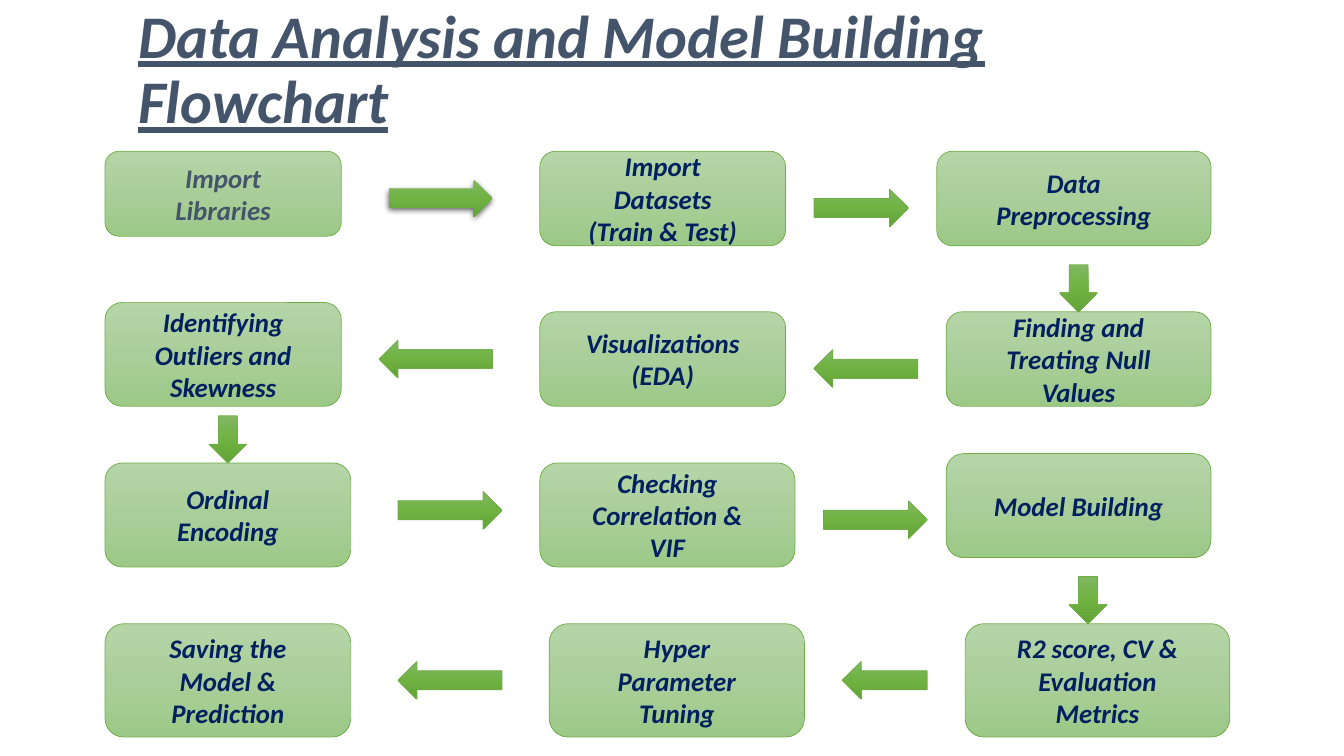
from copy import deepcopy

from pptx import Presentation
from pptx.dml.color import RGBColor
from pptx.enum.shapes import MSO_SHAPE as SHAPE
from pptx.enum.text import MSO_ANCHOR, MSO_AUTO_SIZE, PP_ALIGN
from pptx.oxml import parse_xml
from pptx.oxml.ns import nsdecls, qn
from pptx.util import Inches, Pt

# Content: places are column, row, columns wide, rows high on a fine grid
TITLE = "Data Analysis and Model Building Flowchart"
STEPS = [
    ("Import\nLibraries", 11, 16, 25, 9),
    ("Import\nDatasets\n(Train & Test)", 57, 16, 26, 10),
    ("Data\nPreprocessing", 99, 16, 29, 10),
    ("Finding and\nTreating Null\nValues", 100, 33, 28, 10),
    ("Visualizations\n(EDA)", 57, 33, 26, 10),
    ("Identifying\nOutliers and\nSkewness", 11, 32, 25, 11),
    ("Ordinal\nEncoding", 11, 49, 26, 11),
    ("Checking\nCorrelation &\nVIF", 57, 49, 27, 11),
    ("Model Building", 100, 48, 28, 11),
    ("R2 score, CV &\nEvaluation\nMetrics", 102, 66, 28, 12),
    ("Hyper\nParameter\nTuning", 58, 66, 27, 12),
    ("Saving the\nModel &\nPrediction", 11, 66, 26, 12),
]
# Arrows in flow order: direction, column, row, length
ARROWS = [
    ("right", 41, 19, 11), ("right", 86, 20, 10), ("down", 112, 28, 5),
    ("left", 86, 37, 11), ("left", 40, 36, 12), ("down", 22, 44, 5),
    ("right", 42, 52, 11), ("right", 87, 53, 11), ("down", 113, 61, 5),
    ("left", 89, 70, 9), ("left", 42, 70, 11),
]
ARROW_SHAPES = {"right": SHAPE.RIGHT_ARROW, "left": SHAPE.LEFT_ARROW,
                "down": SHAPE.DOWN_ARROW}
COLORS = {"slate": "44546A", "navy": "002060", "green": "70AD47"}
GRADIENTS = {"step": ("B5D5A7", "AACE9A", "9CC987"),
             "arrow": ("81B861", "6FB242", "62A336")}
FONT = "Calibri"
UNIT = 7.5 / 80
LEFT_OFFSET = 0.01
ARROW_THICKNESS = 4


def style_text(p, size, color):
    for r in p.runs:
        r.font.name, r.font.size = FONT, Pt(size)
        r.font.bold = r.font.italic = True
        r.font.color.rgb = RGBColor.from_string(COLORS[color])


def add_block(shapes, kind, gradient, col, row, cols, rows):
    """Place a preset shape on the grid with a top-to-bottom gradient."""
    sp = shapes.add_shape(kind, Inches(LEFT_OFFSET + col * UNIT), Inches(row * UNIT),
                          Inches(cols * UNIT), Inches(rows * UNIT))
    sp.shadow.inherit = False
    sp.fill.gradient()
    sp.fill.gradient_angle = 270
    stops = sp._element.spPr.find(qn("a:gradFill")).find(qn("a:gsLst"))
    stops.insert(1, deepcopy(stops[0]))
    for i, (stop, color) in enumerate(zip(sp.fill.gradient_stops, GRADIENTS[gradient])):
        stop.position = i / 2
        stop.color.rgb = RGBColor.from_string(color)
    sp.line.color.rgb = RGBColor.from_string(COLORS["green"])
    sp.line.width = Pt(0.5)
    return sp


def add_soft_shadow(sp):
    effects = sp._element.spPr.find(qn("a:effectLst"))
    effects.append(parse_xml(
        f'<a:outerShdw {nsdecls("a")} blurRad="{Pt(4.5)}" dist="{Pt(1.5)}" '
        'dir="5400000" algn="ctr" rotWithShape="0">'
        '<a:srgbClr val="000000"><a:alpha val="63000"/></a:srgbClr></a:outerShdw>'))


def main():
    prs = Presentation()
    prs.slide_width, prs.slide_height = Inches(13.33), Inches(7.5)
    s = prs.slides.add_slide(prs.slide_layouts[5])

    # Title
    title = s.shapes.title
    title.left, title.top = Inches(1.27), Inches(0.3)
    title.width, title.height = Inches(10.8), Inches(0.82)
    tf = title.text_frame
    tf.text = TITLE
    tf.word_wrap, tf.auto_size = True, MSO_AUTO_SIZE.NONE
    tf.vertical_anchor = MSO_ANCHOR.MIDDLE
    p = tf.paragraphs[0]
    p.alignment, p.line_spacing = PP_ALIGN.LEFT, 0.9
    style_text(p, 43.2, "slate")
    p.runs[0].font.underline = True

    # Steps: the starting one has slate text
    for i, (text, *place) in enumerate(STEPS):
        tf = add_block(s.shapes, SHAPE.ROUNDED_RECTANGLE, "step", *place).text_frame
        tf.text = text
        tf.word_wrap, tf.vertical_anchor = True, MSO_ANCHOR.MIDDLE
        for p in tf.paragraphs:
            p.alignment = PP_ALIGN.CENTER
            style_text(p, 19.2, "navy" if i else "slate")

    # Arrows: the starting one has a shadow in place of an outline
    for i, (direction, col, row, length) in enumerate(ARROWS):
        size = (length, ARROW_THICKNESS)
        if direction == "down":
            size = size[::-1]
        arrow = add_block(s.shapes, ARROW_SHAPES[direction], "arrow", col, row, *size)
        if i == 0:
            arrow.line.fill.background()
            add_soft_shadow(arrow)

    prs.save("out.pptx")


if __name__ == "__main__":
    main()
